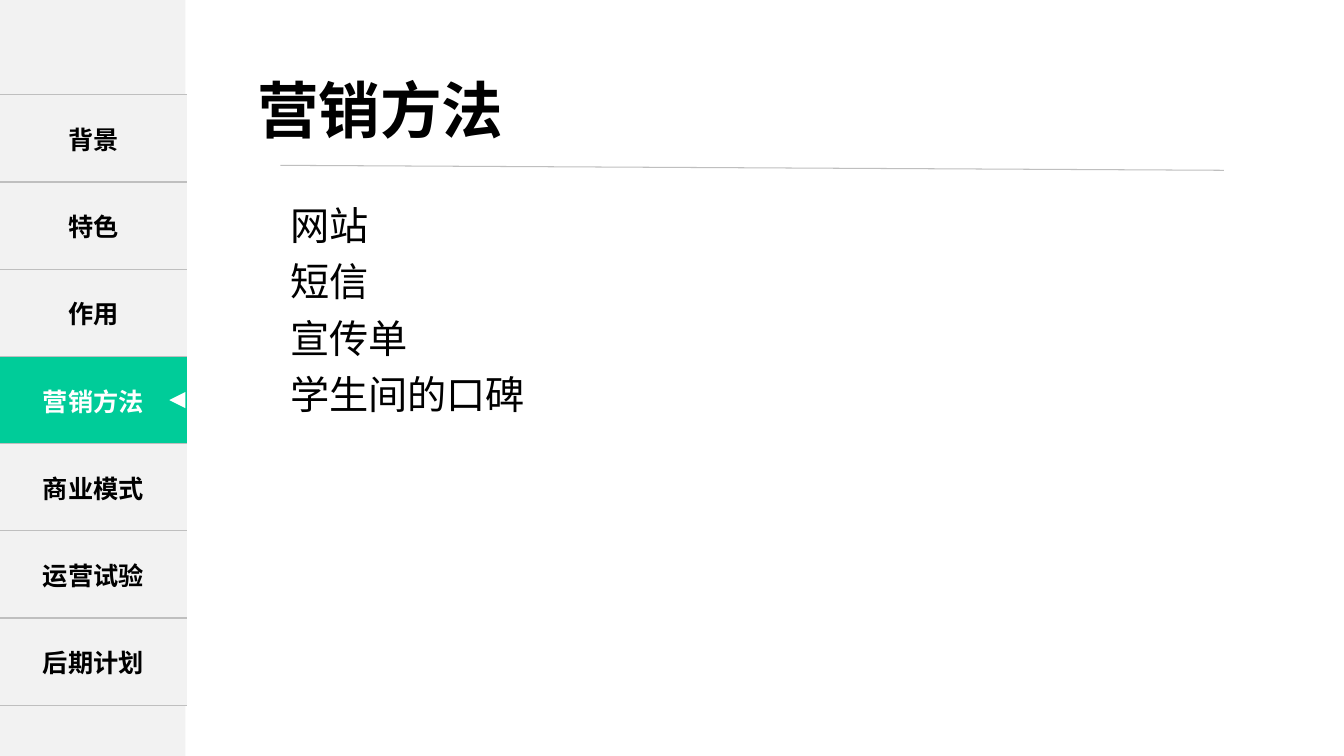
from dataclasses import dataclass

from lxml.etree import SubElement
from pptx import Presentation
from pptx.dml.color import RGBColor
from pptx.enum.shapes import MSO_CONNECTOR, MSO_SHAPE
from pptx.enum.text import MSO_ANCHOR, PP_ALIGN
from pptx.oxml.ns import qn
from pptx.util import Inches, Pt


@dataclass(frozen=True)
class Theme:
    ink: str = "000000"
    paper: str = "FFFFFF"
    panel: str = "F2F2F2"
    rule: str = "BFBFBF"
    accent: str = "00CC99"
    text_font: str = "Noto Sans CJK SC"
    menu_font: str = "Calibri"
    title_size: int = 44
    body_size: int = 28
    menu_size: int = 18
    line_spacing: float = 0.9
    space_before: int = 10


class SlideBuilder:
    """Places elements on one slide; all lengths are percentages of its size."""

    def __init__(self, deck, theme):
        self.deck = deck
        self.theme = theme
        self.slide = deck.slides.add_slide(deck.slide_layouts[5])
        self.shapes = self.slide.shapes

    def x(self, share):
        return round(self.deck.slide_width * share / 100)

    def y(self, share):
        return round(self.deck.slide_height * share / 100)

    def box(self, left, top, width, height):
        return self.x(left), self.y(top), self.x(width), self.y(height)

    def style(self, paragraph, size, font_name, color=None, bold=False):
        font = paragraph.font
        font.size, font.name, font.bold = Pt(size), font_name, bold
        font.color.rgb = RGBColor.from_string(color or self.theme.ink)
        defaults = paragraph._p.pPr.find(qn("a:defRPr"))
        SubElement(defaults, qn("a:ea")).set("typeface", self.theme.text_font)

    def title(self, wording, *place):
        heading = self.shapes.title
        heading.left, heading.top, heading.width, heading.height = self.box(*place)
        frame = heading.text_frame
        frame.text = wording
        frame.vertical_anchor = MSO_ANCHOR.MIDDLE
        paragraph = frame.paragraphs[0]
        paragraph.alignment = PP_ALIGN.LEFT
        paragraph.line_spacing = self.theme.line_spacing
        self.style(paragraph, self.theme.title_size, self.theme.text_font, bold=True)

    def shape(self, kind, color, *place, rotation=0):
        block = self.shapes.add_shape(kind, *self.box(*place))
        block.shadow.inherit = False
        block.fill.solid()
        block.fill.fore_color.rgb = RGBColor.from_string(color)
        block.line.fill.background()
        block.rotation = rotation

    def rule(self, x1, y1, x2, y2):
        divider = self.shapes.add_connector(
            MSO_CONNECTOR.STRAIGHT, self.x(x1), self.y(y1), self.x(x2), self.y(y2))
        divider.line.color.rgb = RGBColor.from_string(self.theme.rule)
        divider.line.width = Pt(0.75)
        SubElement(divider._element.spPr, qn("a:effectLst"))

    def cell_borders(self, cell):
        """Draw the top and bottom edges and hide the sides."""
        properties = cell._tc.get_or_add_tcPr()
        for position, side in enumerate(("lnL", "lnR", "lnT", "lnB")):
            edge = properties.makeelement(qn(f"a:{side}"), {"w": str(Pt(1))})
            properties.insert(position, edge)
            if side in ("lnT", "lnB"):
                fill = SubElement(edge, qn("a:solidFill"))
                SubElement(fill, qn("a:srgbClr")).set("val", self.theme.rule)
            else:
                SubElement(edge, qn("a:noFill"))

    def menu(self, sections, current, left, top, width, row_height):
        place = self.box(left, top, width, row_height * len(sections))
        table = self.shapes.add_table(len(sections), 1, *place).table
        table.first_row = table.horz_banding = False
        for row, section in enumerate(sections):
            table.rows[row].height = self.y(row_height)
            active = section == current
            cell = table.cell(row, 0)
            cell.text = section
            cell.vertical_anchor = MSO_ANCHOR.MIDDLE
            cell.fill.solid()
            cell.fill.fore_color.rgb = RGBColor.from_string(
                self.theme.accent if active else self.theme.panel)
            paragraph = cell.text_frame.paragraphs[0]
            paragraph.alignment = PP_ALIGN.CENTER
            self.style(paragraph, self.theme.menu_size, self.theme.menu_font,
                       self.theme.paper if active else self.theme.ink, bold=True)
            self.cell_borders(cell)

    def body(self, lines, *place):
        frame = self.shapes.add_textbox(*self.box(*place)).text_frame
        frame.word_wrap = True
        frame.text = "\n".join(lines)
        for paragraph in frame.paragraphs:
            paragraph.line_spacing = self.theme.line_spacing
            paragraph.space_before = Pt(self.theme.space_before)
            self.style(paragraph, self.theme.body_size, self.theme.text_font)


def main():
    deck = Presentation()
    deck.slide_width, deck.slide_height = Inches(13.33), Inches(7.5)
    theme = Theme()
    page = SlideBuilder(deck, theme)

    topic = "营销方法"
    sections = ["背景", "特色", "作用", topic, "商业模式", "运营试验", "后期计划"]
    channels = ["网站", "短信", "宣传单", "学生间的口碑"]
    menu_width, menu_top, row_height = 13.88, 12.53, 11.54
    content_left = 20.86

    page.shape(MSO_SHAPE.RECTANGLE, theme.panel, 0, 0, 13.8, 100)
    page.title(topic, 18.38, 5.33, 74.8, 19.33)
    page.menu(sections, topic, 0, menu_top, menu_width, row_height)
    marker_height = 2.13
    marker_middle = menu_top + (sections.index(topic) + 0.5) * row_height
    page.shape(MSO_SHAPE.ISOSCELES_TRIANGLE, theme.paper,
               12.6, marker_middle - marker_height / 2, 1.2, marker_height,
               rotation=270)
    page.rule(content_left, 21.87, 91.07, 22.53)
    page.body(channels, content_left, 26.67, 72.32, 63.47)
    deck.save("out.pptx")


if __name__ == "__main__":
    main()
